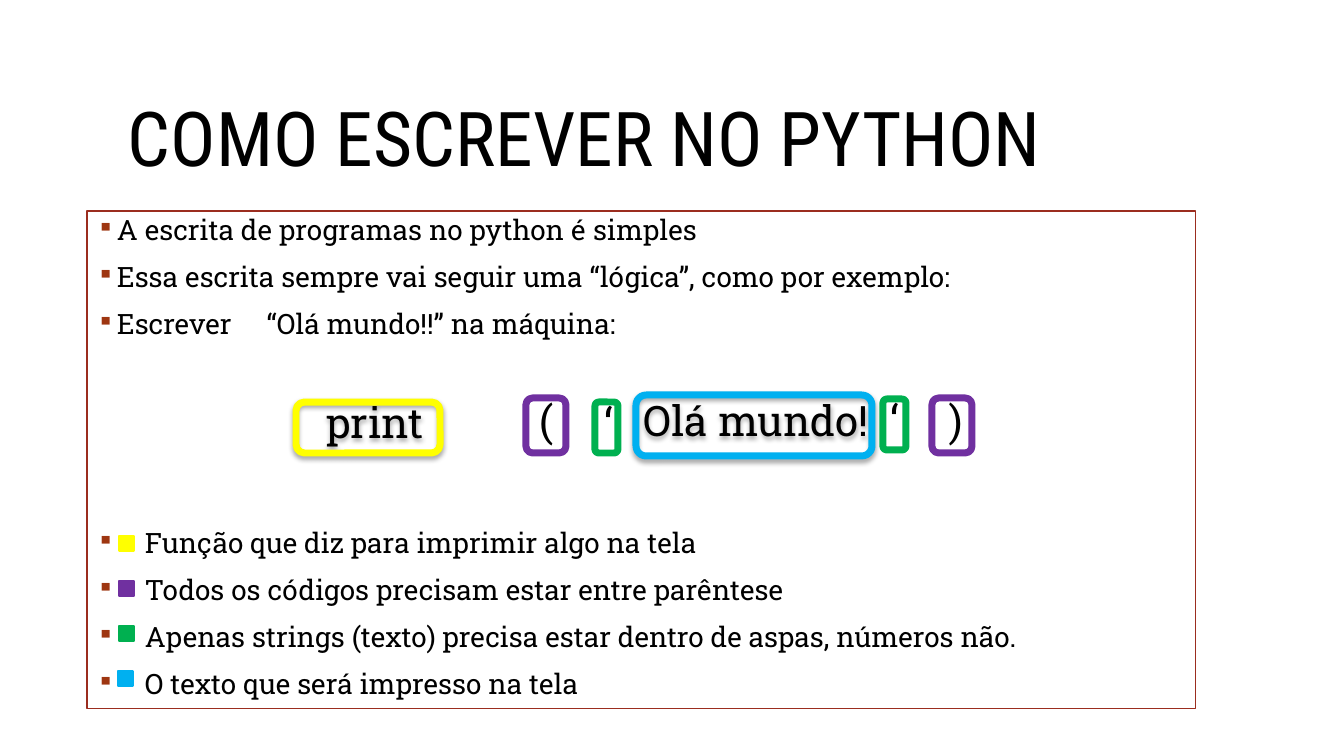
from lxml import etree
from pptx import Presentation
from pptx.dml.color import RGBColor
from pptx.enum.shapes import MSO_SHAPE as Shape
from pptx.enum.text import MSO_ANCHOR as Anchor, PP_ALIGN as Align
from pptx.oxml.ns import qn
from pptx.util import Pt

PX = 914400 / 100.8
BLACK = RGBColor(0x00, 0x00, 0x00)
FRAME_RED = RGBColor(0x9B, 0x2D, 0x1F)
BULLET_RED = RGBColor(0x9E, 0x36, 0x11)
YELLOW = RGBColor(0xFF, 0xFF, 0x00)
PURPLE = RGBColor(0x70, 0x30, 0xA0)
GREEN = RGBColor(0x00, 0xB0, 0x50)
BLUE = RGBColor(0x00, 0xB0, 0xF0)


def add_box(kind, left, top, width, height, color, line_width):
    box = slide.shapes.add_shape(kind, *(round(v * PX) for v in (left, top, width, height)))
    box.shadow.inherit = False
    box.fill.background()
    box.line.color.rgb = color
    box.line.width = Pt(line_width)
    return box


def style_text(paragraph, font_name, size):
    paragraph.line_spacing = 0.9
    for run in paragraph.runs:
        run.font.name = font_name
        run.font.size = Pt(size)
        run.font.color.rgb = BLACK


prs = Presentation()
prs.slide_width, prs.slide_height = round(1344 * PX), round(756 * PX)
slide = prs.slides.add_slide(prs.slide_layouts[6])

# Title
title = slide.shapes.add_textbox(*(round(v * PX) for v in (118, 53, 1109, 177))).text_frame
title.word_wrap = True
title.vertical_anchor = Anchor.MIDDLE
title.text = "COMO ESCREVER NO PYTHON"
style_text(title.paragraphs[0], "Roboto Condensed", 54)

# Framed explanation: bullets above the code line, then its colour legend
intro = [
    ["A escrita de programas no python é simples"],
    ["Essa escrita sempre vai seguir uma “lógica”, como por exemplo:"],
    ["Escrever", " ", "“Olá mundo!!” na máquina:"],
]
legend = [
    ["Função que diz para imprimir algo na tela"],
    ["Todos os códigos precisam estar entre parêntese"],
    ["Apenas strings (texto) precisa estar dentro de aspas, números não."],
    ["O texto que será impresso na tela"],
]
explanation = add_box(Shape.RECTANGLE, 87, 211, 1109, 498, FRAME_RED, 0.75).text_frame
explanation.word_wrap = True
explanation.vertical_anchor = Anchor.TOP
for index, pieces in enumerate(intro + legend):
    bullet = explanation.paragraphs[0] if index == 0 else explanation.add_paragraph()
    for piece in pieces:
        bullet.add_run().text = piece
    bullet.alignment = Align.LEFT
    style_text(bullet, "Roboto Slab", 20)
    bullet.space_before = Pt(135 if index == len(intro) else 12)
    indent = round((20 if index < len(intro) else 48) * PX)
    props = bullet._p.get_or_add_pPr()
    props.set("marL", str(indent))
    props.set("indent", str(-indent))
    bullet_color = etree.SubElement(props, qn("a:buClr"))
    etree.SubElement(bullet_color, qn("a:srgbClr"), val=str(BULLET_RED))
    etree.SubElement(props, qn("a:buSzPct"), val="85000")
    etree.SubElement(props, qn("a:buChar"), char="▪")

# Widen the single space before the quoted greeting
wide_space = explanation.paragraphs[2].runs[1]
wide_space.font._element.set("spc", "2000")

# Code tokens: text, left, top, width, height, colour, text shift, shadow
tokens = [
    ("print", 296, 402, 144, 51, YELLOW, 14, True),
    ("(", 526, 398, 40, 55, PURPLE, 0, False),
    ("‘", 595, 402, 23, 51, GREEN, 5, False),
    ("Olá mundo!", 636, 395, 236, 61, BLUE, 4, True),
    ("‘", 883, 399, 23, 51, GREEN, 0, False),
    (")", 932, 398, 40, 55, PURPLE, 8, False),
]
for text, left, top, width, height, color, shift, shadowed in tokens:
    token = add_box(Shape.ROUNDED_RECTANGLE, left, top, width, height, color, 5)
    label = token.text_frame
    label.word_wrap = False
    label.vertical_anchor = Anchor.MIDDLE
    label.margin_left = round(shift * PX)
    label.margin_right = label.margin_top = 0
    label.margin_bottom = round(6 * PX)
    label.text = text
    label.paragraphs[0].alignment = Align.CENTER
    style_text(label.paragraphs[0], "Roboto Slab", 30)
    if shadowed:
        effects = token._element.spPr.find(qn("a:effectLst"))
        shadow = etree.SubElement(effects, qn("a:outerShdw"), blurRad=str(Pt(3.5)),
                                  dist=str(Pt(2.2)), dir="5400000", rotWithShape="0")
        shade = etree.SubElement(shadow, qn("a:srgbClr"), val=str(BLACK))
        etree.SubElement(shade, qn("a:alpha"), val="32000")

# Legend swatches
for row, color in enumerate([YELLOW, PURPLE, GREEN, BLUE]):
    swatch = add_box(Shape.RECTANGLE, 118 if row == 3 else 119, 536 + 45 * row, 15, 15, color, 2)
    swatch.fill.solid()
    swatch.fill.fore_color.rgb = color

prs.save("out.pptx")
